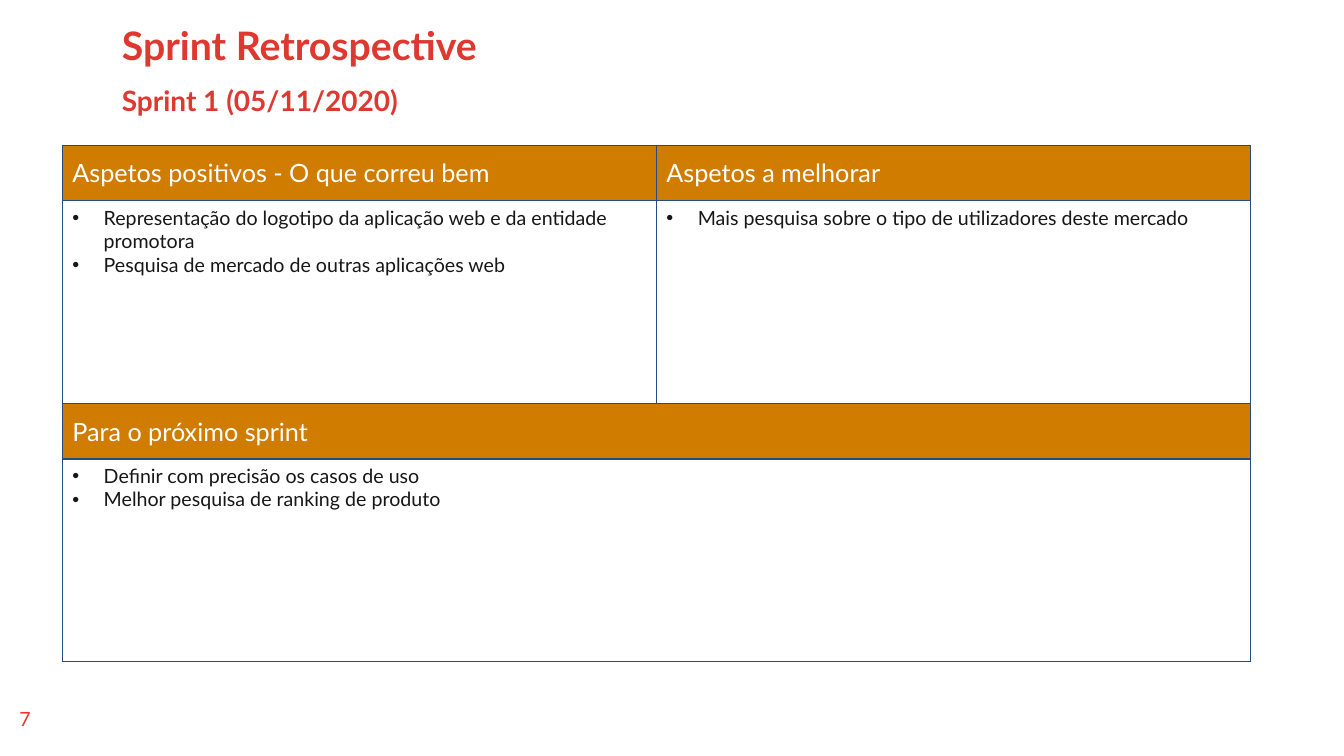
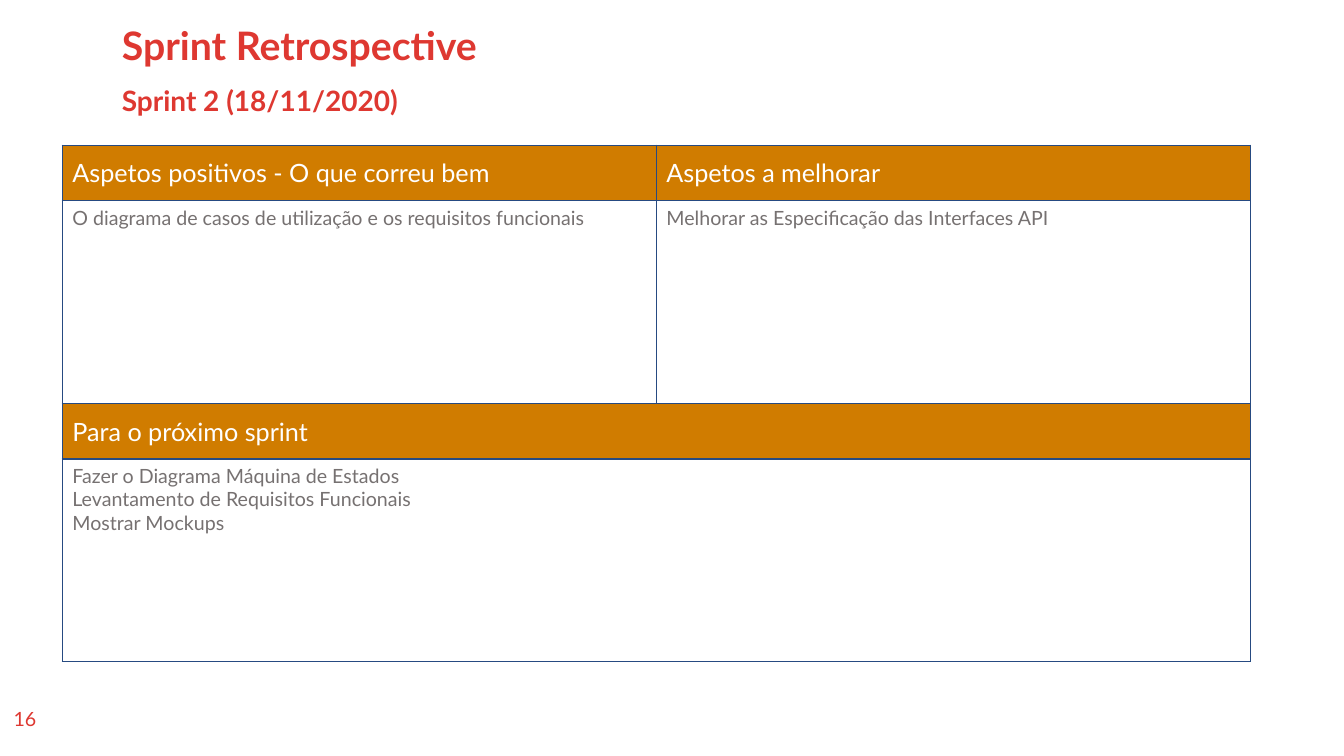
from dataclasses import dataclass

from lxml import etree
from pptx import Presentation
from pptx.dml.color import RGBColor
from pptx.enum import text as t
from pptx.oxml import ns
from pptx.util import Cm, Pt

RED = RGBColor(0xDE, 0x38, 0x31)
ORANGE = RGBColor(0xD0, 0x7C, 0x00)
NAVY = RGBColor(0x26, 0x4A, 0x81)
WHITE = RGBColor(0xFF, 0xFF, 0xFF)
BLACK = RGBColor(0x18, 0x17, 0x17)
GREY = RGBColor(0x76, 0x71, 0x71)
FONT = "Lato"

HEADING_LEFT, HEADING_WIDTH = Cm(2.82), Cm(26.44)
GRID_LEFT, GRID_TOP = Cm(1.57), Cm(3.66)
COLUMN_WIDTH = Cm(14.97)
HEADER_HEIGHT, BODY_HEIGHT = Cm(1.4), Cm(5.11)
BULLET_INDENT = Cm(0.79)


@dataclass(frozen=True)
class Retrospective:
    page: int
    sprint: str
    positives: list[str]
    improvements: list[str]
    next_steps: list[str]
    body_color: RGBColor
    bulleted: bool


RETROSPECTIVES = [
    Retrospective(
        page=7,
        sprint="Sprint 1 (05/11/2020)",
        positives=[
            "Representação do logotipo da aplicação web e da entidade promotora",
            "Pesquisa de mercado de outras aplicações web",
        ],
        improvements=["Mais pesquisa sobre o tipo de utilizadores deste mercado"],
        next_steps=[
            "Definir com precisão os casos de uso",
            "Melhor pesquisa de ranking de produto",
        ],
        body_color=BLACK,
        bulleted=True,
    ),
    Retrospective(
        page=16,
        sprint="Sprint 2 (18/11/2020)",
        positives=["O diagrama de casos de utilização e os requisitos funcionais"],
        improvements=["Melhorar as Especificação das Interfaces API"],
        next_steps=[
            "Fazer o Diagrama Máquina de Estados",
            "Levantamento de Requisitos Funcionais",
            "Mostrar Mockups",
        ],
        body_color=GREY,
        bulleted=False,
    ),
]


def add_run(paragraph, content: str, size: int, color: RGBColor, bold: bool = False) -> None:
    run = paragraph.add_run()
    run.text = content
    run.font.name = FONT
    run.font.size = Pt(size)
    run.font.bold = bold
    run.font.color.rgb = color


def add_bullet(paragraph) -> None:
    properties = paragraph._p.get_or_add_pPr()
    properties.set("marL", str(BULLET_INDENT))
    properties.set("indent", str(-BULLET_INDENT))
    etree.SubElement(properties, ns.qn("a:buFont"), typeface="Arial")
    etree.SubElement(properties, ns.qn("a:buChar"), char="•")


def add_borders(cell) -> None:
    properties = cell._tc.get_or_add_tcPr()
    for side in ("lnL", "lnR", "lnT", "lnB"):
        line = etree.SubElement(properties, ns.qn(f"a:{side}"), w=str(Pt(1)))
        fill = etree.SubElement(line, ns.qn("a:solidFill"))
        etree.SubElement(fill, ns.qn("a:srgbClr"), val=str(NAVY))


def fill_header(cell, heading: str) -> None:
    cell.fill.fore_color.rgb = ORANGE
    cell.vertical_anchor = t.MSO_ANCHOR.MIDDLE
    add_run(cell.text_frame.paragraphs[0], heading, 18, WHITE)


def fill_body(cell, items: list[str], color: RGBColor, bulleted: bool) -> None:
    frame = cell.text_frame
    for index, item in enumerate(items):
        paragraph = frame.add_paragraph() if index else frame.paragraphs[0]
        if bulleted:
            add_bullet(paragraph)
        add_run(paragraph, item, 14, color)


def set_heading(shape, top: Cm, height: Cm, content: str, size: int, anchor: t.MSO_ANCHOR) -> None:
    shape.left, shape.top = HEADING_LEFT, top
    shape.width, shape.height = HEADING_WIDTH, height
    frame = shape.text_frame
    frame.word_wrap = True
    frame.auto_size = t.MSO_AUTO_SIZE.NONE
    frame.vertical_anchor = anchor
    paragraph = frame.paragraphs[0]
    paragraph.alignment = t.PP_ALIGN.LEFT
    paragraph.line_spacing = 0.9
    add_run(paragraph, content, size, RED, bold=True)


def add_page_number(slide, page: int) -> None:
    frame = slide.shapes.add_textbox(Cm(0.03), Cm(17.7), Cm(1.2), Cm(1.02)).text_frame
    frame.word_wrap = True
    frame.paragraphs[0].alignment = t.PP_ALIGN.CENTER
    add_run(frame.paragraphs[0], str(page), 14, RED)


def add_grid(slide, retro: Retrospective) -> None:
    """Draw two topics side by side above a third that spans both columns."""
    heights = [HEADER_HEIGHT, BODY_HEIGHT] * 2
    table = slide.shapes.add_table(
        len(heights), 2, GRID_LEFT, GRID_TOP, COLUMN_WIDTH * 2, sum(heights)
    ).table
    table.first_row = table.horz_banding = False
    for column in table.columns:
        column.width = COLUMN_WIDTH
    for row, height in zip(table.rows, heights):
        row.height = height
    for cell in table.iter_cells():
        add_borders(cell)
        cell.fill.solid()
        cell.fill.fore_color.rgb = WHITE
    for row in (2, 3):
        table.cell(row, 0).merge(table.cell(row, 1))

    topics = [
        (0, 0, "Aspetos positivos - O que correu bem", retro.positives),
        (0, 1, "Aspetos a melhorar", retro.improvements),
        (2, 0, "Para o próximo sprint", retro.next_steps),
    ]
    for row, column, heading, items in topics:
        fill_header(table.cell(row, column), heading)
        fill_body(table.cell(row + 1, column), items, retro.body_color, retro.bulleted)


def add_retrospective(presentation, retro: Retrospective) -> None:
    slide = presentation.slides.add_slide(presentation.slide_layouts[5])
    set_heading(slide.shapes.title, Cm(0.64), Cm(1.14), "Sprint Retrospective", 28,
                t.MSO_ANCHOR.MIDDLE)
    subtitle = slide.shapes.add_textbox(0, 0, 0, 0)
    set_heading(subtitle, Cm(2.08), Cm(1.07), retro.sprint, 20, t.MSO_ANCHOR.TOP)
    add_page_number(slide, retro.page)
    add_grid(slide, retro)


def main() -> None:
    presentation = Presentation()
    presentation.slide_width, presentation.slide_height = Cm(33.87), Cm(19.05)
    for retro in RETROSPECTIVES:
        add_retrospective(presentation, retro)
    presentation.save("out.pptx")


if __name__ == "__main__":
    main()
